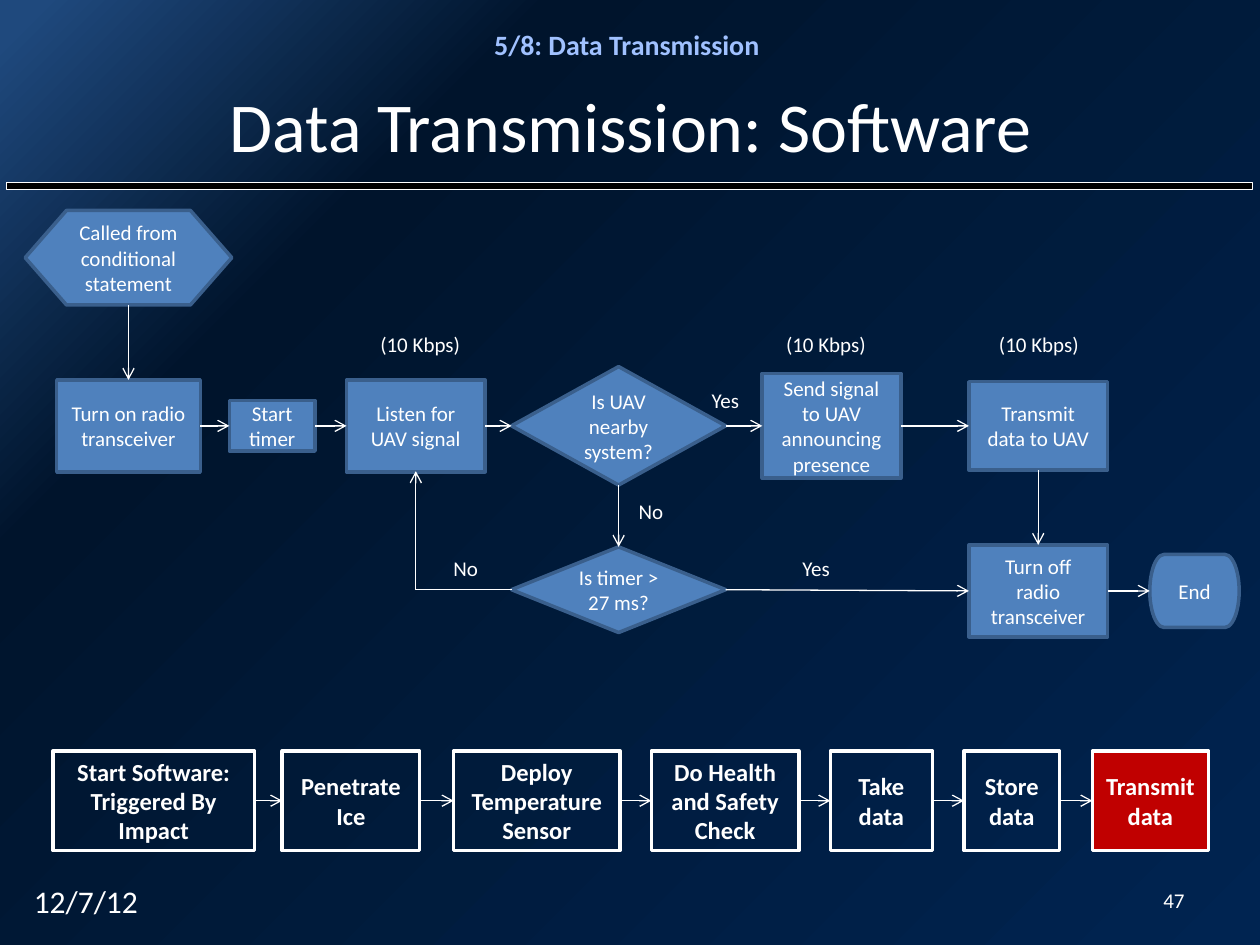
"""Build the data transmission software flowchart slide."""
from lxml import etree
from pptx import Presentation
from pptx.dml.color import RGBColor
from pptx.enum.shapes import MSO_CONNECTOR, MSO_SHAPE
from pptx.enum.text import MSO_ANCHOR, PP_ALIGN
from pptx.oxml import parse_xml
from pptx.oxml.ns import nsdecls, qn
from pptx.util import Inches, Pt

PROCESS, DECISION = MSO_SHAPE.FLOWCHART_PROCESS, MSO_SHAPE.FLOWCHART_DECISION
START, END = MSO_SHAPE.FLOWCHART_PREPARATION, MSO_SHAPE.FLOWCHART_TERMINATOR
STRAIGHT = MSO_CONNECTOR.STRAIGHT
LEFT, CENTER, RIGHT = PP_ALIGN.LEFT, PP_ALIGN.CENTER, PP_ALIGN.RIGHT
TOP, MIDDLE = MSO_ANCHOR.TOP, MSO_ANCHOR.MIDDLE
TO_TOP, TO_LEFT, FROM_BOTTOM, FROM_RIGHT = range(4)
FONT, WHITE, BLUE, EDGE, RED = "Calibri", "FFFFFF", "4F81BD", "3A5F8C", "C00000"
BACKGROUND = [(2, "1F497D"), (25, "00142C"), (100, "002451")]

ROW_START, ROW_MAIN, ROW_TIMER = 2.045, 3.38, 4.68
COL_ON, COL_LISTEN, COL_CHECK, COL_SEND, COL_SENT = 1.02, 3.3, 4.91, 6.6, 8.24
# name: text, shape, centre x, centre y, width, height
STEPS = {
    "call": ("Called from conditional statement", START, COL_ON, ROW_START, 1.64, 0.75),
    "on": ("Turn on radio transceiver", PROCESS, COL_ON, ROW_MAIN, 1.14, 0.73),
    "timer": ("Start timer", PROCESS, 2.16, ROW_MAIN, 0.68, 0.4),
    "listen": ("Listen for UAV signal", PROCESS, COL_LISTEN, ROW_MAIN, 1.1, 0.73),
    "nearby": ("Is UAV nearby system?", DECISION, COL_CHECK, ROW_MAIN, 1.7, 0.94),
    "send": ("Send signal to UAV announcing presence", PROCESS, COL_SEND, ROW_MAIN, 1.1, 0.83),
    "transmit": ("Transmit data to UAV", PROCESS, COL_SENT, ROW_MAIN, 1.1, 0.7),
    "expired": ("Is timer > 27 ms?", DECISION, COL_CHECK, ROW_TIMER, 1.7, 0.68),
    "off": ("Turn off radio transceiver", PROCESS, COL_SENT, ROW_TIMER + 0.01, 1.1, 0.73),
    "end": ("End", END, 9.48, ROW_TIMER + 0.01, 0.71, 0.58),
}
ACROSS = [("on", "timer"), ("timer", "listen"), ("listen", "nearby"), ("nearby", "send"),
          ("send", "transmit"), ("expired", "off"), ("off", "end")]
DOWN = [("call", "on"), ("nearby", "expired"), ("transmit", "off")]
LABELS = [("(10 Kbps)", 2.92, 2.58, 1.23), ("(10 Kbps)", 6.14, 2.58, 1.23),
          ("(10 Kbps)", 7.83, 2.58, 1.23), ("Yes", 5.55, 3.03, 0.49),
          ("No", 4.97, 3.91, 0.72), ("No", 3.5, 4.36, 0.72), ("Yes", 6.27, 4.36, 0.49)]
MISSION_TOP, MISSION_HEIGHT = 5.96, 0.79
MISSION = [("Start Software: Triggered By Impact", 0.42, 1.6), ("Penetrate Ice", 2.24, 1.09),
           ("Deploy Temperature Sensor", 3.6, 1.32), ("Do Health and Safety Check", 5.17, 1.17),
           ("Take data", 6.59, 0.81), ("Store data", 7.65, 0.76), ("Transmit data", 8.67, 0.92)]


def rgb(value):
    """Return a colour from its hex string."""
    return RGBColor.from_string(value)


def write(sp, text, size=12, color=WHITE, bold=False, align=CENTER, anchor=MIDDLE):
    """Put formatted text into a shape."""
    tf = sp.text_frame
    tf.word_wrap, tf.vertical_anchor = True, anchor
    p = tf.paragraphs[0]
    p.alignment = align
    r = p.add_run()
    r.text = text
    r.font.name, r.font.size, r.font.bold = FONT, Pt(size), bold
    r.font.color.rgb = rgb(color)


def add_label(s, text, x, y, w, h=0.3, **style):
    """Add a text box."""
    write(s.shapes.add_textbox(*map(Inches, (x, y, w, h))), text, **style)


def add_box(s, kind, x, y, w, h, fill=None, line=WHITE, weight=2):
    """Add an outlined shape, filled when a colour is given."""
    sp = s.shapes.add_shape(kind, *map(Inches, (x, y, w, h)))
    sp.shadow.inherit = False
    if fill:
        sp.fill.solid()
        sp.fill.fore_color.rgb = rgb(fill)
    else:
        sp.fill.background()
    sp.line.color.rgb, sp.line.width = rgb(line), Pt(weight)
    return sp


def add_line(s, x1=0, y1=0, x2=0, y2=0, arrow=True):
    """Add a thin white line, with an arrowhead unless told otherwise."""
    c = s.shapes.add_connector(STRAIGHT, *map(Inches, (x1, y1, x2, y2)))
    c.line.color.rgb, c.line.width = rgb(WHITE), Pt(0.75)
    if arrow:
        etree.SubElement(c.line._get_or_add_ln(), qn("a:tailEnd"), type="arrow")
    etree.SubElement(c._element.spPr, qn("a:effectLst"))
    return c


def link(s, a, b, start, end):
    """Join two shapes with an arrow."""
    c = add_line(s)
    c.begin_connect(a, start)
    c.end_connect(b, end)


def paint_background(s):
    """Fill the slide with a diagonal gradient."""
    fill = s.background.fill
    fill.gradient()
    old = s.background._cSld.bg.bgPr.find(qn("a:gradFill"))
    stops = "".join(f'<a:gs pos="{pos * 1000}"><a:srgbClr val="{color}"/></a:gs>'
                    for pos, color in BACKGROUND)
    old.getparent().replace(old, parse_xml(
        f'<a:gradFill {nsdecls("a")} rotWithShape="1"><a:gsLst>{stops}</a:gsLst>'
        '<a:lin ang="2700000" scaled="0"/></a:gradFill>'))


def add_heading(s):
    """Add the section name, title, rule, date and page number."""
    add_box(s, MSO_SHAPE.RECTANGLE, 0.05, 1.45, 9.89, 0.05, "000000", weight=0.25)
    add_label(s, "5/8: Data Transmission", 2.89, 0.17, 4.17, 0.37,
              size=16, color="A0C1FF", bold=True, anchor=TOP)
    title = s.shapes.title
    title.left, title.top, title.width, title.height = map(Inches, (0.88, 0.55, 8.25, 0.88))
    write(title, "Data Transmission: Software", size=40)
    add_label(s, "12/7/12", 0.17, 6.95, 2.33, 0.4, size=18, align=LEFT, anchor=TOP)
    add_label(s, "47", 9.08, 6.95, 0.42, 0.38, align=RIGHT)


def add_flowchart(s):
    """Add the transmission steps, their arrows and labels."""
    nodes = {}
    for name, (text, kind, cx, cy, w, h) in STEPS.items():
        nodes[name] = add_box(s, kind, cx - w / 2, cy - h / 2, w, h, BLUE, EDGE)
        write(nodes[name], text)
    for a, b in ACROSS:
        link(s, nodes[a], nodes[b], FROM_RIGHT, TO_LEFT)
    for a, b in DOWN:
        link(s, nodes[a], nodes[b], FROM_BOTTOM, TO_TOP)
    add_line(s, COL_CHECK - 0.85, ROW_TIMER, COL_LISTEN, ROW_TIMER, arrow=False)
    add_line(s, COL_LISTEN, ROW_TIMER, COL_LISTEN, ROW_MAIN + 0.36)
    for text, x, y, w in LABELS:
        add_label(s, text, x, y, w, align=LEFT, anchor=TOP)


def add_mission(s):
    """Add the chain of mission phases with the last one highlighted."""
    boxes = []
    for i, (text, x, w) in enumerate(MISSION):
        fill = RED if i == len(MISSION) - 1 else None
        boxes.append(add_box(s, PROCESS, x, MISSION_TOP, w, MISSION_HEIGHT, fill))
        write(boxes[-1], text, size=14, bold=True)
    for a, b in zip(boxes, boxes[1:]):
        link(s, a, b, FROM_RIGHT, TO_LEFT)


def main():
    """Create and save the presentation."""
    prs = Presentation()
    prs.slide_width, prs.slide_height = Inches(10), Inches(7.5)
    s = prs.slides.add_slide(prs.slide_layouts[5])
    paint_background(s)
    add_heading(s)
    add_mission(s)
    add_flowchart(s)
    prs.save("out.pptx")


if __name__ == "__main__":
    main()
